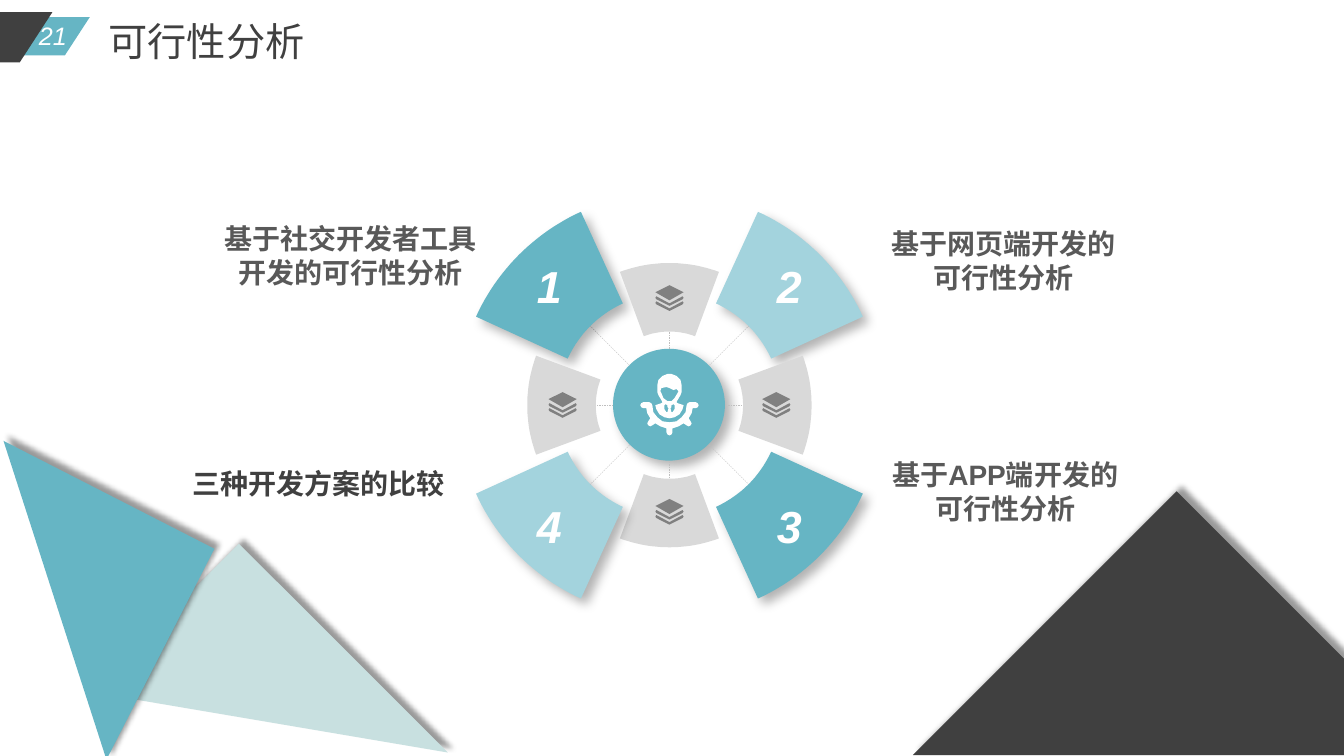
"""Build the feasibility analysis slide with its ring of four numbered options."""
from math import cos, radians, sin

from lxml.etree import SubElement
from pptx import Presentation
from pptx.dml.color import RGBColor
from pptx.enum.dml import MSO_LINE_DASH_STYLE as Dash
from pptx.enum.shapes import MSO_CONNECTOR_TYPE as Connector, MSO_SHAPE as Preset
from pptx.enum.text import MSO_ANCHOR as Anchor, MSO_AUTO_SIZE as AutoSize, PP_ALIGN as Align
from pptx.oxml.ns import qn
from pptx.util import Pt

PX = 9144
TEAL = RGBColor(0x66, 0xB5, 0xC4)
LIGHT_TEAL = RGBColor(0xA3, 0xD3, 0xDD)
PALE_TEAL = RGBColor(0xC8, 0xE0, 0xE0)
DARK = RGBColor(0x40, 0x40, 0x40)
TEXT_GREY = RGBColor(0x59, 0x59, 0x59)
ICON_GREY = RGBColor(0x80, 0x80, 0x80)
SPOKE_GREY = RGBColor(0xBF, 0xBF, 0xBF)
RING_GREY = RGBColor(0xD9, 0xD9, 0xD9)
WHITE = RGBColor(0xFF, 0xFF, 0xFF)
CJK = "Noto Sans CJK SC"
CENTER_X, CENTER_Y = 664, 402

presentation = Presentation()
presentation.slide_width = 1333 * PX
presentation.slide_height = 750 * PX
slide = presentation.slides.add_slide(presentation.slide_layouts[6])
shapes = slide.shapes


def paint(shape, color, shadow=None):
    """Fill a shape without outline and give it an optional outer shadow."""
    shape.fill.solid()
    shape.fill.fore_color.rgb = color
    shape.line.fill.background()
    shape.shadow.inherit = False
    if shadow:
        alpha, blur, distance, direction = shadow
        effects = shape._element.spPr.find(qn("a:effectLst"))
        outer = SubElement(effects, qn("a:outerShdw"), blurRad=str(Pt(blur)), dist=str(Pt(distance)),
                           dir=str(direction * 60000), algn="ctr", rotWithShape="0")
        black = SubElement(outer, qn("a:srgbClr"), val="000000")
        SubElement(black, qn("a:alpha"), val=str(alpha * 1000))
    return shape


def outline(contours, color, shadow=None):
    """Draw closed contours, given in px, as one filled freeform."""
    builder = None
    for contour in contours:
        points = [(x * 10, y * 10) for x, y in contour]
        if builder is None:
            builder = shapes.build_freeform(*points[0], scale=PX / 10)
        else:
            builder.move_to(*points[0])
        builder.add_line_segments(points[1:], close=True)
    return paint(builder.convert_to_shape(), color, shadow)


for left, top, width, height, color in [(-110, 17, 199, 38, TEAL), (-208, 12, 260, 50, DARK)]:
    banner = shapes.add_shape(Preset.PARALLELOGRAM, left * PX, top * PX, width * PX, height * PX)
    banner.adjustments[0] = 0.65
    paint(banner, color)

for left, top, width, height, rotation, color in [
    (163, 570, 208, 293, 135, PALE_TEAL),
    (-63, 478, 235, 235, 207.1, TEAL),
    (982, 564, 370, 370, 135, DARK),
]:
    triangle = shapes.add_shape(Preset.RIGHT_TRIANGLE, left * PX, top * PX, width * PX, height * PX)
    triangle.rotation = rotation
    paint(triangle, color, (40, 4, 5, 315))

RING_SHADOW = (30, 8, 6, 45)
hub = shapes.add_shape(Preset.OVAL, 608 * PX, 346 * PX, 111 * PX, 111 * PX)
paint(hub, TEAL, RING_SHADOW)

body_half = [(2, 371), (7, 373), (11, 377), (12, 382), (12, 389), (11, 392), (8, 397), (7, 399),
             (8, 400), (14, 402), (13, 406), (10, 411), (5, 414), (0, 415)]
wheel_half = [(0, 419), (7, 418), (12, 414), (16, 409), (17, 402), (18, 400), (20, 399), (26, 399),
              (28, 400), (29, 402), (28, 404), (26, 405), (23, 405), (22, 410), (19, 415), (21, 418),
              (22, 420), (21, 422), (19, 423), (17, 422), (14, 420), (9, 423), (3, 425), (3, 429),
              (2, 431), (0, 432)]
face = [(-3, 384), (-8, 385), (-9, 388), (-8, 390), (-6, 395), (-2, 398), (2, 398), (5, 395),
        (8, 390), (9, 388), (7, 386), (4, 387), (0, 385)]
lapel = [(4, 401), (2, 402), (2, 404), (1, 405), (2, 409), (3, 409), (5, 406), (5, 402)]
helmsman = [half + [(-x, y) for x, y in reversed(half)] for half in (body_half, wheel_half)]
helmsman += [face, lapel, [(-x, y) for x, y in lapel]]
outline([[(CENTER_X + x, y) for x, y in contour] for contour in helmsman], WHITE)

for index in range(8):
    angle = radians(index * 45)
    start, end = 56, 112 if index % 2 else 73
    spoke = shapes.add_connector(Connector.STRAIGHT, *[
        round(value * PX) for radius in (start, end)
        for value in (CENTER_X + radius * cos(angle), CENTER_Y + radius * sin(angle))])
    spoke.line.color.rgb = SPOKE_GREY
    spoke.line.width = Pt(0.25)
    spoke.line.dash_style = Dash.DASH
    SubElement(spoke._element.spPr, qn("a:effectLst"))

labels = []
for middle, inner, outer, color, shadow, number in [
    (90, 73, 141, RING_GREY, None, ""),
    (45, 111, 211, TEAL, RING_SHADOW, "3"),
    (135, 111, 211, LIGHT_TEAL, RING_SHADOW, "4"),
    (315, 111, 211, LIGHT_TEAL, RING_SHADOW, "2"),
    (225, 111, 211, TEAL, RING_SHADOW, "1"),
    (270, 73, 141, RING_GREY, None, ""),
    (0, 73, 141, RING_GREY, None, ""),
    (180, 73, 141, RING_GREY, None, ""),
]:
    sweep = [radians(middle - 20.4 + 40.8 * step / 24) for step in range(25)]
    arc = [(outer, angle) for angle in sweep] + [(inner, angle) for angle in reversed(sweep)]
    sector = outline([[(CENTER_X + radius * cos(angle), CENTER_Y + radius * sin(angle))
                       for radius, angle in arc]], color, shadow)
    if number:
        sector.text_frame.vertical_anchor = Anchor.MIDDLE
        labels.append((sector, [number], Align.CENTER,
                       {"name": "Arial", "size": Pt(32), "bold": True, "italic": True}, WHITE))

diamond = [(0, -13), (14, -6), (0, 2), (-14, -6)]
chevron = [(-13, -2), (0, 5), (13, -2), (14, -0.5), (13, 1), (0, 7.5), (-13, 1), (-14, -0.5)]
layers = [diamond, chevron, [(x, y + 5) for x, y in chevron]]
for offset_x, offset_y in [(0, -106), (106, 0), (0, 106), (-106, 0)]:
    outline([[(CENTER_X + offset_x + x, CENTER_Y + offset_y + y) for x, y in layer]
             for layer in layers], ICON_GREY)

option_format = {"name": "Arial", "size": Pt(20), "bold": True}
for left, top, width, height, lines, align, font_format, color in [
    (27, 15, 51, 40, ["21"], Align.CENTER, {"name": "Arial", "size": Pt(18), "italic": True}, WHITE),
    (98, 12, 224, 57, ["可行性分析"], Align.LEFT, {"name": CJK, "size": Pt(28)}, DARK),
    (873, 220, 245, 77, ["基于网页端开发的", "可行性分析"], Align.CENTER, option_format, TEXT_GREY),
    (211, 215, 273, 77, ["基于社交开发者工具", "开发的可行性分析"], Align.CENTER, option_format, TEXT_GREY),
    (178, 458, 273, 44, ["三种开发方案的比较"], Align.RIGHT, option_format | {"name": CJK}, DARK),
    (874, 449, 246, 77, ["基于APP端开发的", "可行性分析"], Align.CENTER, option_format, TEXT_GREY),
]:
    box = shapes.add_textbox(left * PX, top * PX, width * PX, height * PX)
    box.text_frame.word_wrap = True
    box.text_frame.auto_size = AutoSize.SHAPE_TO_FIT_TEXT
    labels.append((box, lines, align, font_format, color))

for shape, lines, align, font_format, color in labels:
    shape.text_frame.text = "\n".join(lines)
    for paragraph in shape.text_frame.paragraphs:
        paragraph.alignment = align
        run = paragraph.runs[0]
        for attribute, value in font_format.items():
            setattr(run.font, attribute, value)
        run.font.color.rgb = color
        SubElement(run._r.get_or_add_rPr(), qn("a:ea"), typeface=CJK)

presentation.save("out.pptx")
